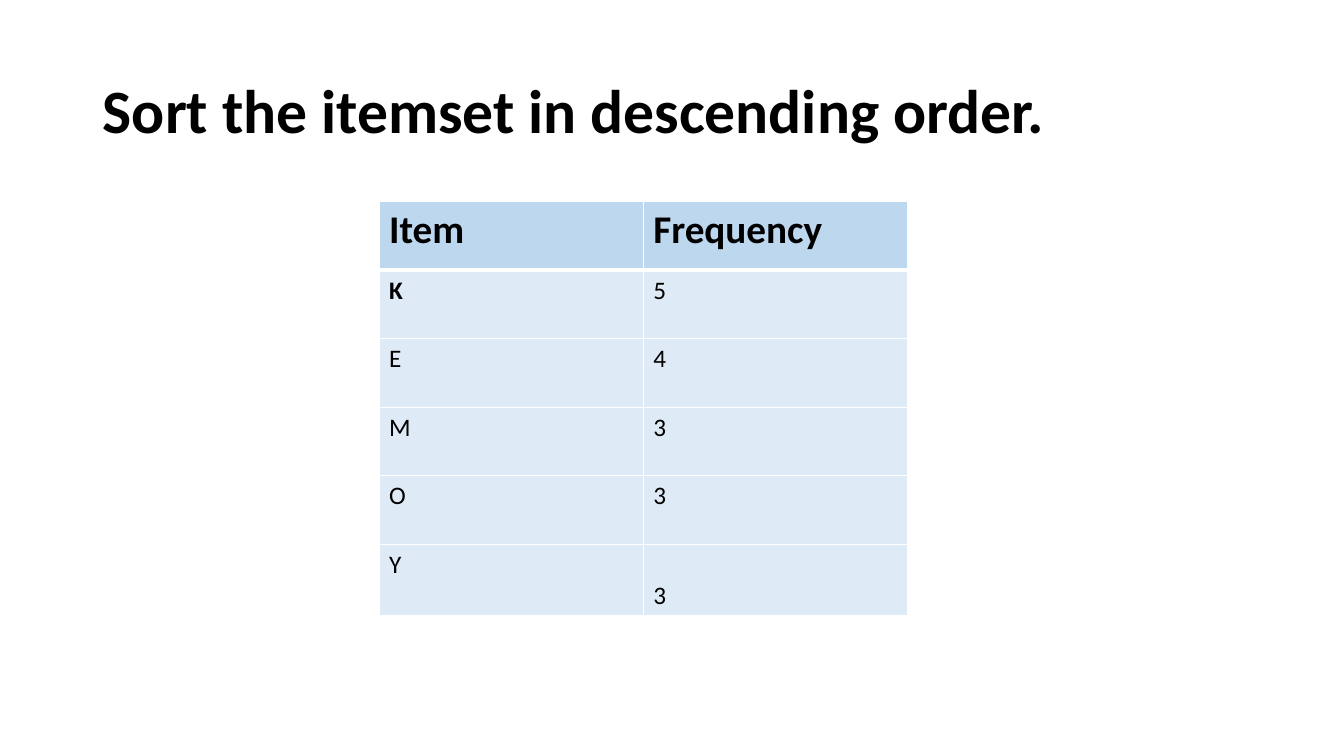
"""Build a slide with a table of items sorted by frequency."""
from dataclasses import dataclass

import pptx
import pptx.dml.color
import pptx.enum.text
import pptx.oxml
import pptx.oxml.ns
import pptx.util

Inches = pptx.util.Inches
RGBColor = pptx.dml.color.RGBColor
Anchor = pptx.enum.text.MSO_ANCHOR

BLACK = RGBColor(0x00, 0x00, 0x00)
WHITE = RGBColor(0xFF, 0xFF, 0xFF)
HEAD = RGBColor(0xBD, 0xD7, 0xEE)
BODY = RGBColor(0xDE, 0xEB, 0xF7)


@dataclass
class Row:
    item: str
    count: str
    size: int = 18
    bold: tuple[bool, bool] = (False, False)
    fill: RGBColor = BODY
    top: int = 1
    base: int = 1
    high: float = 0.68
    anchor: Anchor = Anchor.TOP


ROWS = [
    Row("Item", "Frequency", 28, (True, True), HEAD, base=3),
    Row("K", "5", bold=(True, False), top=3),
    Row("E", "4"),
    Row("M", "3"),
    Row("O", "3"),
    Row("Y", "3", high=0.71, anchor=Anchor.BOTTOM),
]


def style(para, size: int, bold: bool) -> None:
    form = {"name": "Calibri", "size": pptx.util.Pt(size), "bold": bold}
    for key, value in form.items():
        setattr(para.font, key, value)
    para.font.color.rgb = BLACK


def edge(cell, row: Row) -> None:
    props = cell._tc.get_or_add_tcPr()
    space = pptx.oxml.ns.nsdecls("a")
    for side, width in {"L": 1, "R": 1, "T": row.top, "B": row.base}.items():
        props.append(pptx.oxml.parse_xml(
            f'<a:ln{side} {space} w="{pptx.util.Pt(width)}"><a:solidFill>'
            f'<a:srgbClr val="{WHITE}"/></a:solidFill></a:ln{side}>'))


def paint(cell, text: str, bold: bool, row: Row) -> None:
    cell.text = text
    style(cell.text_frame.paragraphs[0], row.size, bold)
    edge(cell, row)
    cell.fill.solid()
    cell.fill.fore_color.rgb = row.fill


def head(slide) -> None:
    title = slide.shapes.title
    box = {"left": 0.92, "top": 0.4, "width": 11.5, "height": 1.45}
    for key, value in box.items():
        setattr(title, key, Inches(value))
    frame = title.text_frame
    frame.text = "Sort the itemset in descending order."
    frame.word_wrap = True
    frame.vertical_anchor = Anchor.MIDDLE
    para = frame.paragraphs[0]
    para.alignment = pptx.enum.text.PP_ALIGN.LEFT
    para.line_spacing = 0.9
    style(para, 44, True)


def grid(slide) -> None:
    high = sum(row.high for row in ROWS)
    table = slide.shapes.add_table(
        len(ROWS), 2, Inches(3.76), Inches(2), Inches(5.24), Inches(high)).table
    for line, row in zip(table.rows, ROWS):
        line.height = Inches(row.high)
        for cell, text, bold in zip(line.cells, (row.item, row.count), row.bold):
            paint(cell, text, bold, row)
        line.cells[1].vertical_anchor = row.anchor


def main() -> None:
    deck = pptx.Presentation()
    deck.slide_width, deck.slide_height = Inches(13.33), Inches(7.5)
    slide = deck.slides.add_slide(deck.slide_layouts[5])
    head(slide)
    grid(slide)
    deck.save("out.pptx")


if __name__ == "__main__":
    main()
